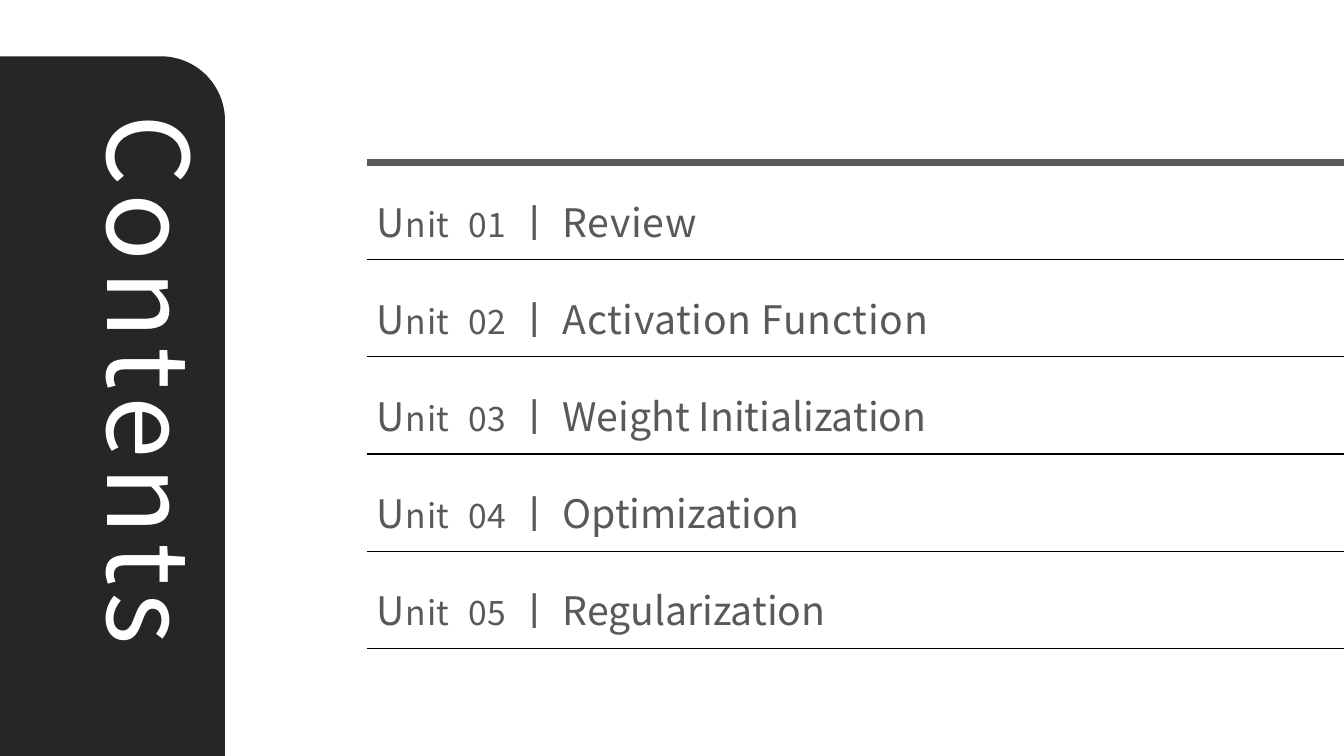
from pptx import Presentation
from pptx import util as u
from pptx.dml.color import RGBColor
from pptx.enum import shapes, text
from pptx.oxml.ns import qn
from lxml import etree

UNITS = ["Review", "Activation Function", "Weight Initialization",
         "Optimization", "Regularization"]
TIGHT_FROM = 3  # unit titles from here on have no letter spacing


def color(hex_code):
    return RGBColor.from_string(hex_code)


def add_run(paragraph, words, size=28, ink="595959", font="Noto Sans CJK KR", spacing=0.5):
    run = paragraph.add_run()
    run.text = words
    run.font.size = u.Pt(size)
    run.font.name = font
    run.font.color.rgb = color(ink)
    props = run.font._element
    props.set("spc", str(int(spacing * 100)))
    etree.SubElement(props, qn("a:ea")).set("typeface", font)


class ContentsSlide:
    dark, grey, black, white = "262626", "595959", "000000", "FFFFFF"
    left, right = 9.25, 33.87

    def __init__(self, slide):
        self.slide = slide

    def panel(self, left, top, width, height, corner):
        panel = self.slide.shapes.add_shape(
            shapes.MSO_SHAPE.ROUND_1_RECTANGLE,
            u.Cm(left), u.Cm(top), u.Cm(width), u.Cm(height))
        panel.adjustments[0] = corner
        panel.shadow.inherit = False
        panel.fill.solid()
        panel.fill.fore_color.rgb = color(self.dark)
        panel.line.fill.background()
        # Keep the panel behind the title
        self.slide.shapes._spTree.insert(2, panel._element)

    def title(self, words, left, top, width, height):
        title = self.slide.shapes.title
        title.left, title.top = u.Cm(left), u.Cm(top)
        title.width, title.height = u.Cm(width), u.Cm(height)
        title.rotation = 90
        frame = title.text_frame
        frame.word_wrap = True
        frame.auto_size = text.MSO_AUTO_SIZE.NONE
        frame.vertical_anchor = text.MSO_ANCHOR.TOP
        frame.paragraphs[0].alignment = text.PP_ALIGN.LEFT
        add_run(frame.paragraphs[0], words, size=80, ink=self.white, spacing=6)

    def rule(self, y, ink, weight):
        rule = self.slide.shapes.add_connector(
            shapes.MSO_CONNECTOR.STRAIGHT,
            u.Cm(self.left), u.Cm(y), u.Cm(self.right), u.Cm(y))
        rule.line.color.rgb = color(ink)
        rule.line.width = u.Pt(weight)
        etree.SubElement(rule._element.spPr, qn("a:effectLst"))

    def unit(self, number, topic, top):
        box = self.slide.shapes.add_textbox(
            u.Cm(self.left), u.Cm(top), u.Cm(23.95), u.Cm(1.96))
        frame = box.text_frame
        frame.word_wrap = True
        frame.vertical_anchor = text.MSO_ANCHOR.MIDDLE
        line = frame.paragraphs[0]
        # Tab stop that aligns the unit numbers
        tabs = etree.SubElement(line._p.get_or_add_pPr(), qn("a:tabLst"))
        etree.SubElement(tabs, qn("a:tab"), pos=str(u.Cm(2.3)), algn="l")
        add_run(line, "U")
        add_run(line, "nit\t", size=24)
        add_run(line, f"{number:02d}", size=24)
        add_run(line, " ㅣ ")
        add_run(line, topic, spacing=0 if number >= TIGHT_FROM else 0.5)


def main():
    deck = Presentation()
    deck.slide_width, deck.slide_height = u.Cm(33.87), u.Cm(19.05)
    contents = ContentsSlide(deck.slides.add_slide(deck.slide_layouts[5]))

    # Side panel with the rotated title
    contents.panel(0, 1.42, 5.67, 17.63, corner=0.285)
    contents.title("Contents", -5.03, 9.63, 17.7, 3.68)

    # Unit list between evenly spaced rules
    first_rule, pitch = 4.09, 2.45
    contents.rule(first_rule, contents.grey, 5)
    for number, topic in enumerate(UNITS, start=1):
        bottom = first_rule + number * pitch
        contents.unit(number, topic, bottom - 1.94)
        contents.rule(bottom, contents.black, 1)

    deck.save("out.pptx")


if __name__ == "__main__":
    main()
